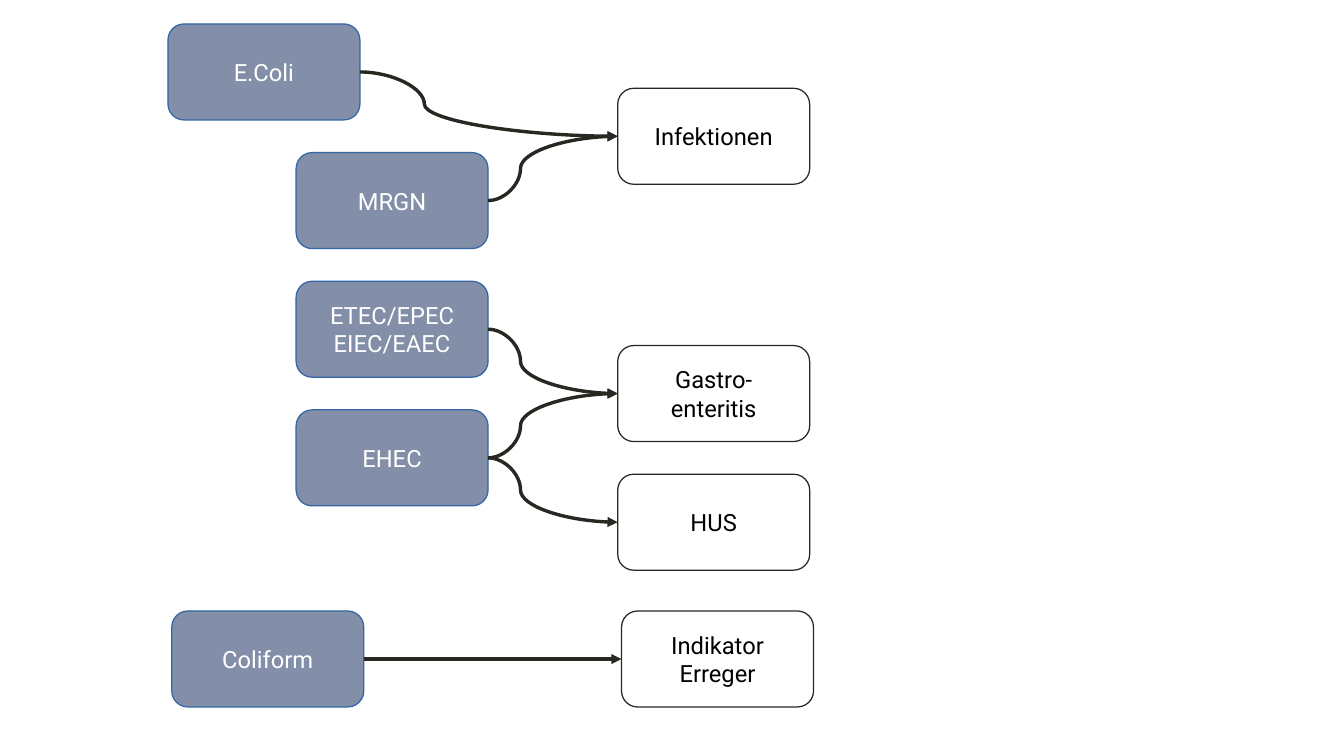
"""Builds the slide that maps E. coli pathogens to the diseases they cause."""
from dataclasses import dataclass

from lxml.etree import SubElement
from pptx import Presentation
from pptx.dml.color import RGBColor as Rgb
from pptx.enum.shapes import MSO_CONNECTOR as Link, MSO_SHAPE as Preset
from pptx.enum.text import MSO_ANCHOR as Anchor, PP_ALIGN as Align
from pptx.oxml.ns import qn
from pptx.util import Cm, Pt


@dataclass(frozen=True)
class Theme:
    font: str = "Roboto"
    size: int = 14
    pathogen_fill: str = "838FA9"
    pathogen_line: str = "3465A4"
    pathogen_text: str = "FFFFFF"
    disease_line: str = "272822"
    disease_text: str = "000000"
    arrow: str = "272822"


class Diagram:
    BOX_WIDTH, BOX_HEIGHT = Cm(4), Cm(2)
    RIGHT_SITE, LEFT_SITE = 3, 1

    def __init__(self, slide, theme):
        self.shapes = slide.shapes
        self.theme = theme

    def box(self, label, left, top, line, ink, fill=None):
        node = self.shapes.add_shape(Preset.ROUNDED_RECTANGLE, Cm(left), Cm(top),
                                     self.BOX_WIDTH, self.BOX_HEIGHT)
        node.shadow.inherit = False
        if fill:
            node.fill.solid()
            node.fill.fore_color.rgb = Rgb.from_string(fill)
        else:
            node.fill.background()
        node.line.color.rgb = Rgb.from_string(line)
        node.line.width = Pt(0)
        frame = node.text_frame
        frame.word_wrap = True
        frame.vertical_anchor = Anchor.MIDDLE
        frame.text = label
        for paragraph in frame.paragraphs:
            paragraph.alignment = Align.CENTER
            for run in paragraph.runs:
                run.font.name = self.theme.font
                run.font.size = Pt(self.theme.size)
                run.font.color.rgb = Rgb.from_string(ink)
        return node

    def pathogen(self, label, left, top):
        theme = self.theme
        return self.box(label, left, top, theme.pathogen_line,
                        theme.pathogen_text, theme.pathogen_fill)

    def disease(self, label, left, top):
        return self.box(label, left, top, self.theme.disease_line,
                        self.theme.disease_text)

    def arrow(self, cause, effect):
        link = self.shapes.add_connector(Link.CURVE, 0, 0, 0, 0)
        link.begin_connect(cause, self.RIGHT_SITE)
        link.end_connect(effect, self.LEFT_SITE)
        link.line.color.rgb = Rgb.from_string(self.theme.arrow)
        link.line.width = Pt(0)
        properties = link._element.spPr
        bends = properties.find(qn("a:prstGeom")).find(qn("a:avLst"))
        SubElement(bends, qn("a:gd"), name="adj1", fmla="val 25000")
        SubElement(properties.find(qn("a:ln")), qn("a:tailEnd"), type="triangle")
        SubElement(properties, qn("a:effectLst"))


TOP, HALF_ROW = 0.5, 1.34
GROUP, STRAIN, DISEASE = 3.5, 6.17, 12.87
INDICATOR_TOP, INDICATOR_SHIFT = 12.73, 0.08


def row(half_rows):
    return TOP + half_rows * HALF_ROW


deck = Presentation()
deck.slide_width, deck.slide_height = Cm(28), Cm(15.75)
diagram = Diagram(deck.slides.add_slide(deck.slide_layouts[6]), Theme())

e_coli = diagram.pathogen("E.Coli", GROUP, row(0))
mrgn = diagram.pathogen("MRGN", STRAIN, row(2))
enteric = diagram.pathogen("ETEC/EPEC\nEIEC/EAEC", STRAIN, row(4))
ehec = diagram.pathogen("EHEC", STRAIN, row(6))
coliform = diagram.pathogen("Coliform", GROUP + INDICATOR_SHIFT, INDICATOR_TOP)

infections = diagram.disease("Infektionen", DISEASE, row(1))
gastroenteritis = diagram.disease("Gastro-enteritis", DISEASE, row(5))
hus = diagram.disease("HUS", DISEASE, row(7))
indicator = diagram.disease("Indikator\nErreger", DISEASE + INDICATOR_SHIFT,
                            INDICATOR_TOP)

for cause, effect in [(e_coli, infections), (mrgn, infections),
                      (enteric, gastroenteritis), (ehec, gastroenteritis),
                      (ehec, hus), (coliform, indicator)]:
    diagram.arrow(cause, effect)

deck.save("out.pptx")
